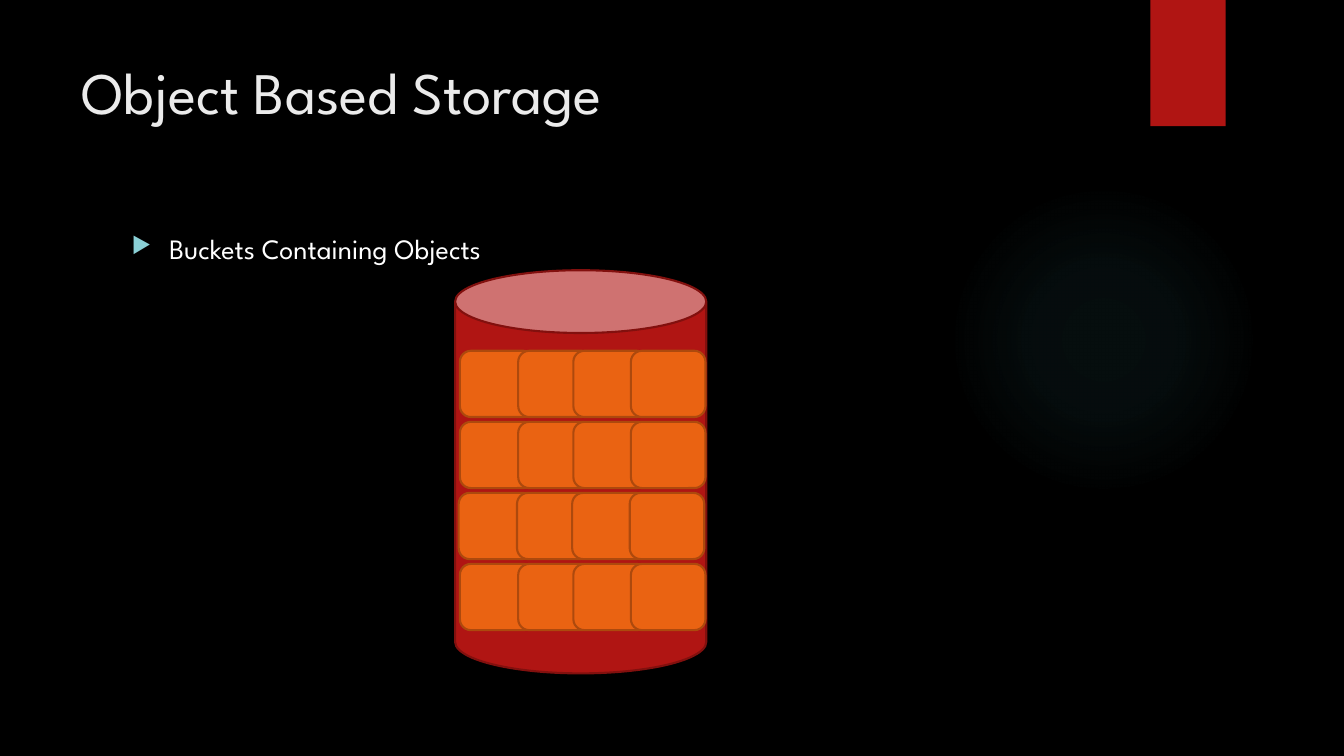
from lxml import etree
from pptx import Presentation
from pptx.dml.color import RGBColor
from pptx.enum.shapes import MSO_SHAPE
from pptx.enum.text import MSO_ANCHOR, MSO_AUTO_SIZE, PP_ALIGN
from pptx.oxml import parse_xml
from pptx.oxml.ns import qn
from pptx.util import Cm, Pt

RECT, OVAL = MSO_SHAPE.RECTANGLE, MSO_SHAPE.OVAL
CAN, ROUNDED = MSO_SHAPE.CAN, MSO_SHAPE.ROUNDED_RECTANGLE
TOP, LEFT, NO_FIT = MSO_ANCHOR.TOP, PP_ALIGN.LEFT, MSO_AUTO_SIZE.NONE

TITLE = "Object Based Storage"
BULLETS = ["Buckets Containing Objects"]
FONT = "League Spartan"
COLORS = {
    "background": "000000", "title": "EBEBEB", "body": "FFFFFF",
    "bullet": "8AD0D6", "glow": "50B9C1", "bucket": "B01513",
    "bucket_line": "82100E", "object": "EA6312", "object_line": "AD490D",
}
GLOW_STOPS = [(0, 7), (36, 6), (69, 0)]
OBJECT_LEFTS = [11.59, 13.06, 14.45, 15.9]
ROW_SHIFTS = [0, 0, -0.03, 0]
FIRST_ROW_TOP, ROW_PITCH = 8.84, 1.79
OBJECT_SIZE = (1.88, 1.67)


def rgb(name):
    return RGBColor.from_string(COLORS[name])


def add_shape(kind, box, fill, line=None):
    sp = slide.shapes.add_shape(kind, *map(Cm, box))
    sp.shadow.inherit = False
    sp.fill.solid()
    sp.fill.fore_color.rgb = rgb(fill)
    if line:
        sp.line.color.rgb = rgb(line)
        sp.line.width = Pt(1.5)
    else:
        sp.line.fill.background()
    return sp


def set_glow(sp):
    stops = "".join(
        f'<a:gs pos="{pos * 1000}"><a:srgbClr val="{COLORS["glow"]}">'
        f'<a:alpha val="{alpha * 1000}"/></a:srgbClr></a:gs>'
        for pos, alpha in GLOW_STOPS)
    grad = parse_xml(
        '<a:gradFill xmlns:a="http://schemas.openxmlformats.org/drawingml/2006/main">'
        f'<a:gsLst>{stops}</a:gsLst><a:path path="circle">'
        '<a:fillToRect l="50000" t="50000" r="50000" b="50000"/></a:path></a:gradFill>')
    solid = sp.element.spPr.find(qn("a:solidFill"))
    solid.getparent().replace(solid, grad)


def set_frame(tf):
    tf.word_wrap = True
    tf.auto_size = NO_FIT
    tf.vertical_anchor = TOP


def set_font(p, size, color):
    p.alignment = LEFT
    p.font.name = FONT
    p.font.size = Pt(size)
    p.font.color.rgb = rgb(color)


def set_bullet(p):
    pPr = p._p.get_or_add_pPr()
    pPr.set("marL", str(Cm(0.95)))
    pPr.set("indent", str(-Cm(0.95)))
    p.space_before = Pt(10)
    color = etree.Element(qn("a:buClr"))
    etree.SubElement(color, qn("a:srgbClr"), val=COLORS["bullet"])
    size = etree.Element(qn("a:buSzPct"), val="80000")
    char = etree.Element(qn("a:buChar"), char="▶")
    at = list(pPr).index(pPr.find(qn("a:spcBef"))) + 1
    pPr[at:at] = [color, size, char]


prs = Presentation()
prs.slide_width, prs.slide_height = Cm(33.87), Cm(19.05)
slide = prs.slides.add_slide(prs.slide_layouts[5])
slide.background.fill.solid()
slide.background.fill.fore_color.rgb = rgb("background")

set_glow(add_shape(OVAL, (23.9, 4.65, 7.82, 7.82), "glow"))
add_shape(RECT, (28.99, 0, 1.9, 3.18), "bucket")

title = slide.shapes.title
title.left, title.top, title.width, title.height = map(Cm, (1.8, 1.27, 26.14, 3.89))
title.text = TITLE
set_frame(title.text_frame)
set_font(title.text_frame.paragraphs[0], 42, "title")

body = slide.shapes.add_textbox(*map(Cm, (3.07, 5.72, 24.84, 11.66)))
tf = body.text_frame
set_frame(tf)
tf.text = "\n".join(BULLETS)
for p in tf.paragraphs:
    set_font(p, 20, "body")
    set_bullet(p)

add_shape(CAN, (11.47, 6.81, 6.33, 10.16), "bucket", "bucket_line")
for left in OBJECT_LEFTS:
    for row, shift in enumerate(ROW_SHIFTS):
        top = FIRST_ROW_TOP + row * ROW_PITCH
        add_shape(ROUNDED, (left + shift, top, *OBJECT_SIZE), "object", "object_line")

prs.save("out.pptx")
